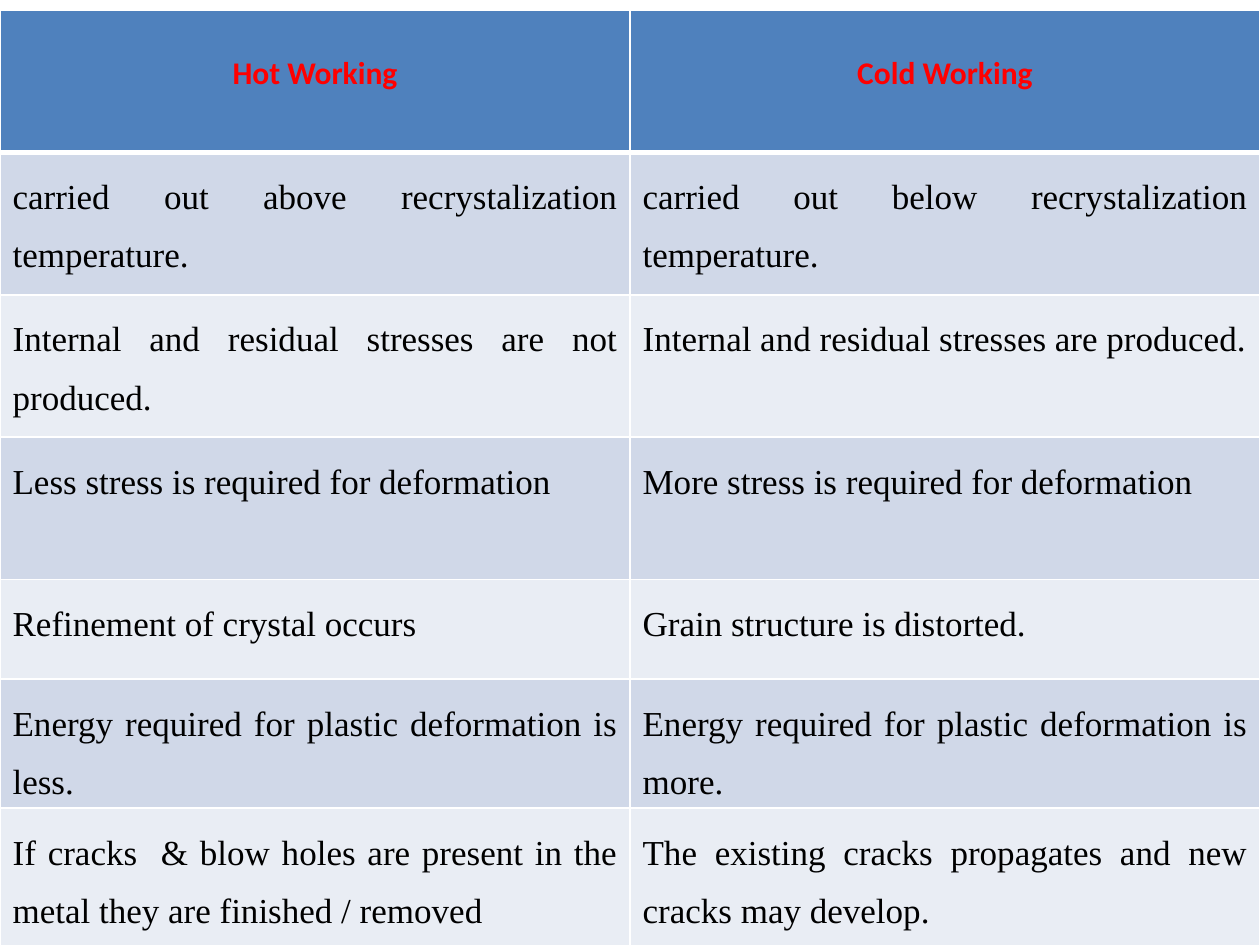
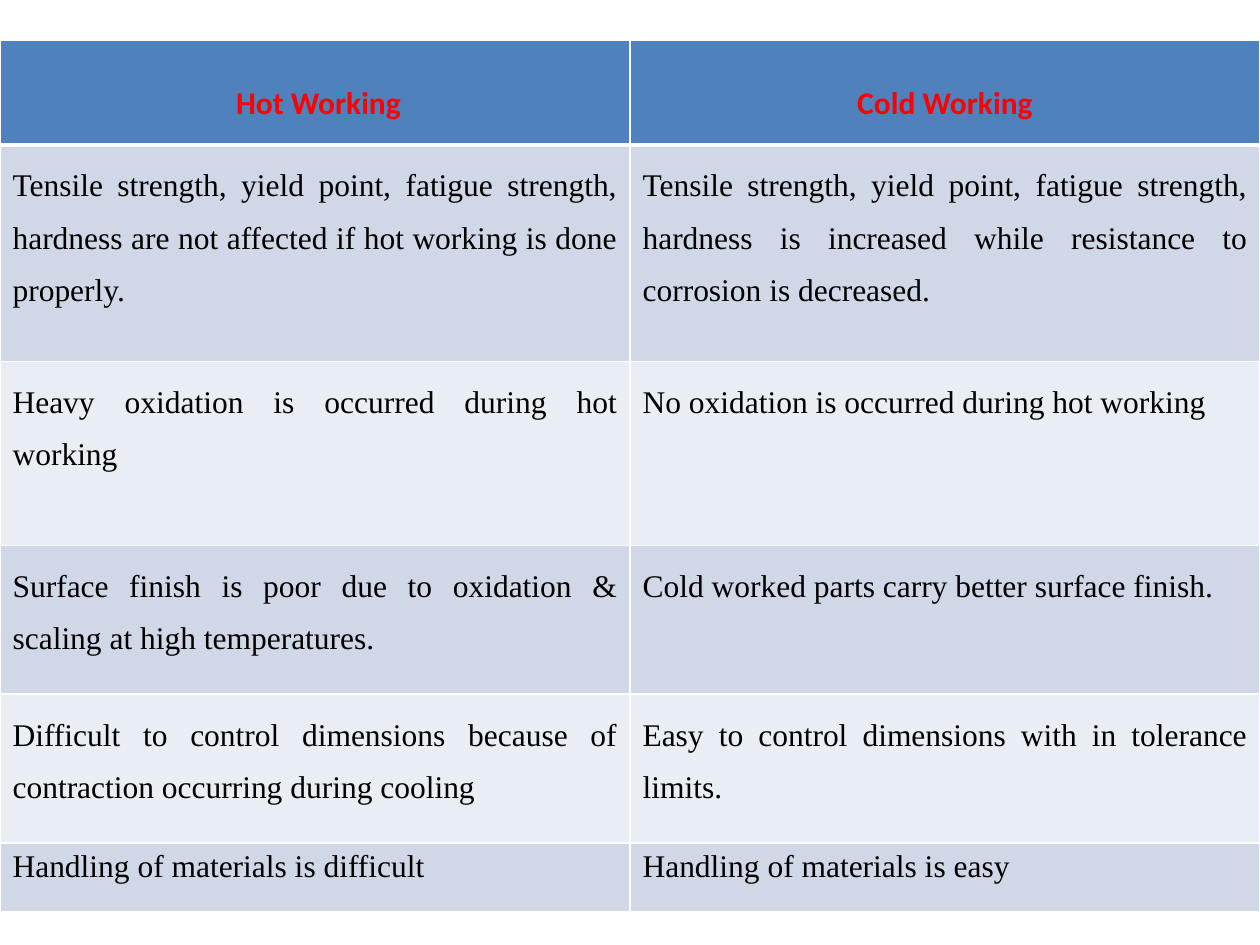
"""Build two slides of tables comparing hot working with cold working."""
from lxml import etree
from pptx import Presentation
from pptx import util as u
from pptx.dml.color import RGBColor
from pptx.enum import text
from pptx.oxml import ns

COLORS = {"header": "4F81BD", "odd": "D0D8E8", "even": "E9EDF4",
          "heading": "FF0000", "body": "000000", "rule": "FFFFFF"}
WIDTH, HEIGHT = 10, 7.5
COLUMNS = 2
HEADER_TOP_MARGIN = 0.35

SLIDES = [
    {"top": 0.08, "size": 20, "last_spacing": 1.5,
     "heights": [1.13, 1.13, 1.13, 1.13, 0.79, 0.95, 1.13],
     "rows": [
         ("Hot Working", "Cold Working"),
         ("carried out above recrystalization temperature.",
          "carried out below recrystalization temperature."),
         ("Internal and residual stresses are not produced.",
          "Internal and residual stresses are produced."),
         ("Less stress is required for deformation",
          "More stress is required for deformation"),
         ("Refinement of crystal occurs",
          "Grain structure is distorted."),
         ("Energy required for plastic deformation is less.",
          "Energy required for plastic deformation is more."),
         ("If cracks  & blow holes are present in the metal they are finished / removed",
          "The existing cracks propagates and new cracks may develop."),
     ]},
    {"top": 0.32, "size": 18, "last_spacing": 1.0,
     "heights": [0.83, 1.72, 1.46, 1.18, 1.18, 0.55],
     "rows": [
         (" Hot Working", "Cold Working"),
         ("Tensile strength, yield point, fatigue strength, hardness are not "
          "affected if hot working is done properly.",
          "Tensile strength, yield point, fatigue strength, hardness is "
          "increased while resistance to corrosion is decreased."),
         ("Heavy oxidation is occurred during hot working",
          "No oxidation is occurred during hot working"),
         ("Surface finish is poor due to oxidation & scaling at high temperatures.",
          "Cold worked parts carry better surface finish."),
         ("Difficult to control dimensions because of contraction occurring during cooling",
          "Easy to control dimensions with in tolerance limits."),
         ("Handling of materials is difficult",
          "Handling of materials is easy"),
     ]},
]


def set_borders(cell, top, bottom):
    tc_pr = cell._tc.get_or_add_tcPr()
    widths = {"lnL": 1, "lnR": 1, "lnT": top, "lnB": bottom}
    for i, (side, width) in enumerate(widths.items()):
        ln = etree.Element(ns.qn("a:" + side), w=str(u.Pt(width)))
        fill = etree.SubElement(ln, ns.qn("a:solidFill"))
        etree.SubElement(fill, ns.qn("a:srgbClr"), val=COLORS["rule"])
        tc_pr.insert(i, ln)


def write_cell(cell, words, fill, font, size, color, bold, align, spacing):
    cell.fill.solid()
    cell.fill.fore_color.rgb = RGBColor.from_string(COLORS[fill])
    p = cell.text_frame.paragraphs[0]
    p.alignment = align
    p.line_spacing = spacing
    r = p.add_run()
    r.text = words
    r.font.name = font
    r.font.size = u.Pt(size)
    r.font.bold = bold
    r.font.color.rgb = RGBColor.from_string(COLORS[color])


def add_comparison(prs, top, size, last_spacing, heights, rows):
    s = prs.slides.add_slide(prs.slide_layouts[6])
    table = s.shapes.add_table(len(rows), COLUMNS, 0, u.Inches(top),
                               prs.slide_width, u.Inches(sum(heights))).table
    for column in table.columns:
        column.width = u.Inches(WIDTH / COLUMNS)
    for i, (height, row) in enumerate(zip(heights, rows)):
        table.rows[i].height = u.Inches(height)
        for j, words in enumerate(row):
            cell = table.cell(i, j)
            if i == 0:
                cell.margin_top = u.Inches(HEADER_TOP_MARGIN)
                write_cell(cell, words, "header", "Calibri", 18, "heading",
                           True, text.PP_ALIGN.CENTER, 1.0)
            else:
                spacing = last_spacing if i == len(rows) - 1 else 1.5
                write_cell(cell, words, "odd" if i % 2 else "even",
                           "Times New Roman", size, "body", False,
                           text.PP_ALIGN.JUSTIFY, spacing)
            set_borders(cell, 3 if i == 1 else 1, 3 if i == 0 else 1)


prs = Presentation()
prs.slide_width, prs.slide_height = u.Inches(WIDTH), u.Inches(HEIGHT)
for content in SLIDES:
    add_comparison(prs, **content)
prs.save("out.pptx")
